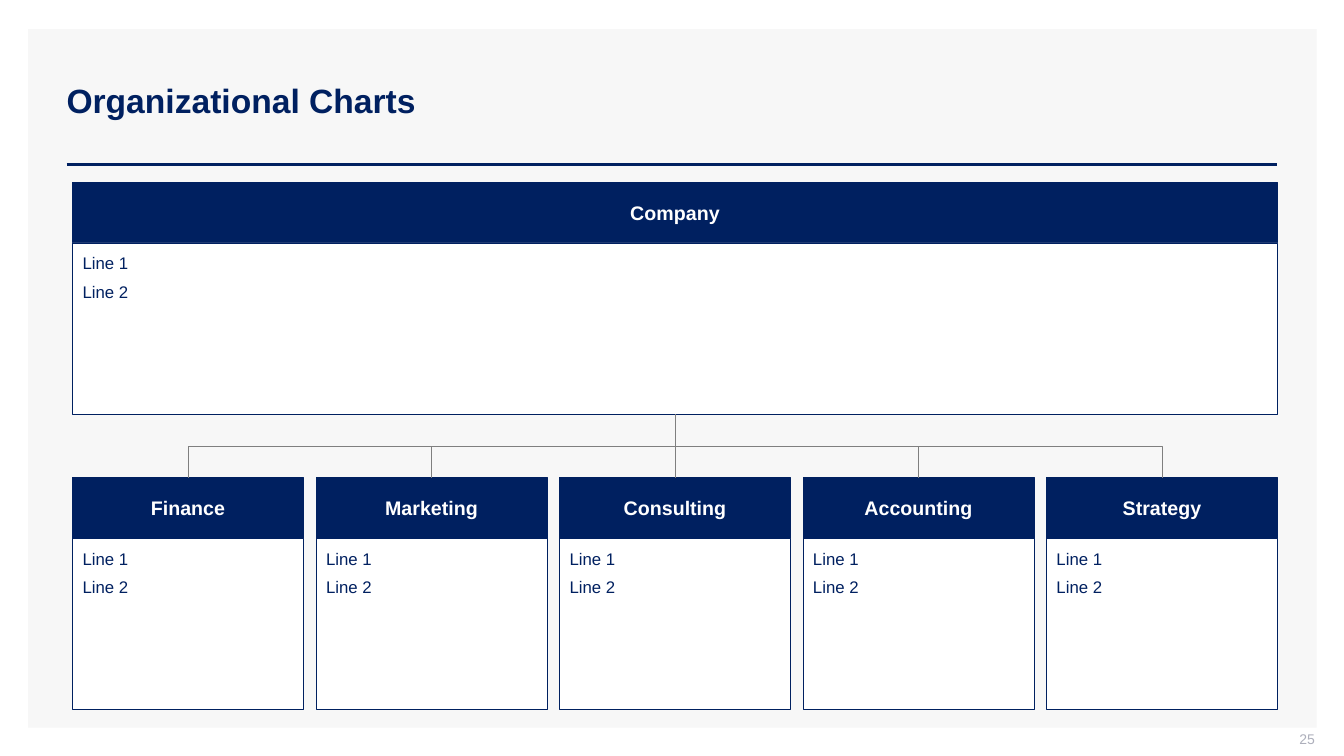
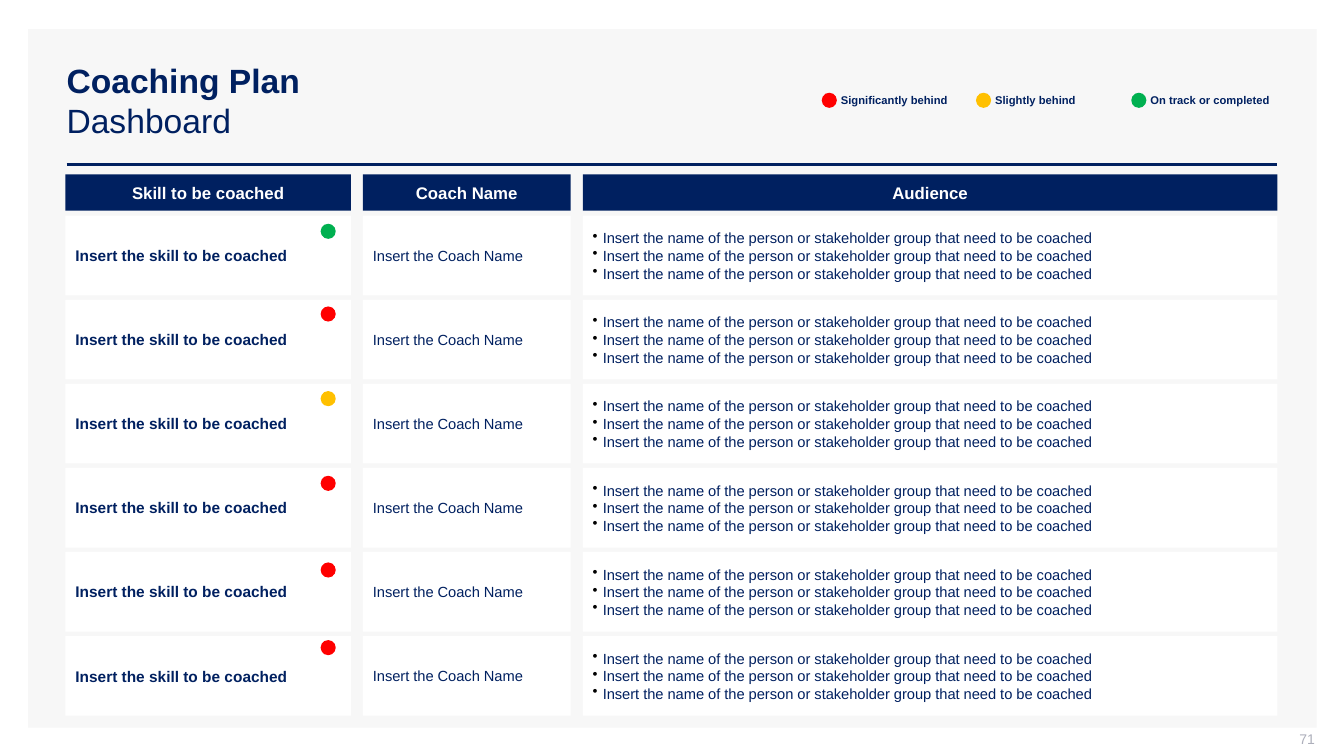
import pptx
import pptx.util
import pptx.dml.color
import pptx.enum.shapes
import pptx.enum.text
import pptx.oxml
import pptx.oxml.ns

NAVY, WHITE, PANEL, GREY, PALE = "002060", "FFFFFF", "F7F7F7", "7F7F7F", "ADAFBB"
RED, AMBER, GREEN = "FF0000", "FFC000", "00B050"
FONT = "Arial"

COMPANY = "Company"
DEPARTMENTS = ["Finance", "Marketing", "Consulting", "Accounting", "Strategy"]
LINES = ["Line 1", "Line 2"]
CHART_LEFT, CHART_WIDTH, COMPANY_TOP, DEPARTMENT_TOP = 72, 1195, 181, 474
CARD_WIDTH, CARD_HEAD, CARD_BODY = 229, 60, 170

LEGEND = [
    (815, RED, "Significantly behind"),
    (968, AMBER, "Slightly behind"),
    (1122, GREEN, "On track or completed"),
]
SKILL = "Insert the skill to be coached"
COACH = "Insert the Coach Name"
AUDIENCE = "Insert the name of the person or stakeholder group that need to be coached"
COLUMNS = [
    ("Skill to be coached", 65, 283, [SKILL], dict(size=11, bold=True)),
    ("Coach Name", 360, 206, [COACH], dict(size=10.5)),
    ("Audience", 578, 689, [AUDIENCE] * 3, dict(size=10.5, bullet=True)),
]
STATUSES = [(222, GREEN), (304, RED), (388, AMBER), (472, RED), (558, RED), (635, RED)]
HEAD_TOP, HEAD_HEIGHT = 173, 36
ROW_TOP, ROW_STEP, ROW_HEIGHT = 214, 83.4, 79
DOT = 15

SHAPE = pptx.enum.shapes.MSO_SHAPE
LINE = pptx.enum.shapes.MSO_CONNECTOR
ALIGN = pptx.enum.text.PP_ALIGN
ANCHOR = pptx.enum.text.MSO_ANCHOR
qn = pptx.oxml.ns.qn


def px(n):
    return pptx.util.Emu(round(n * 9144))


def rgb(color):
    return pptx.dml.color.RGBColor.from_string(color)


def add_run(p, text, size, color, bold=False):
    r = p.add_run()
    r.text = text
    r.font.name = FONT
    r.font.size = pptx.util.Pt(size)
    r.font.bold = bold
    r.font.color.rgb = rgb(color)


def add_bullet(p):
    pPr = p._p.get_or_add_pPr()
    pPr.set("marL", str(px(10)))
    pPr.set("indent", str(px(-10)))
    color = pptx.oxml.ns.nsdecls("a")
    pPr.append(pptx.oxml.parse_xml(f'<a:buClr {color}><a:srgbClr val="000000"/></a:buClr>'))
    pPr.append(pptx.oxml.parse_xml(f'<a:buChar {color} char="•"/>'))


def write(sp, lines, size, color=NAVY, bold=False, align=ALIGN.LEFT,
          anchor=ANCHOR.MIDDLE, insets=(10, 5, 10, 5), after=0, bullet=False, wrap=True):
    tf = sp.text_frame
    tf.word_wrap = wrap
    tf.vertical_anchor = anchor
    tf.margin_left, tf.margin_top, tf.margin_right, tf.margin_bottom = map(px, insets)
    for i, line in enumerate(lines):
        p = tf.add_paragraph() if i else tf.paragraphs[0]
        p.alignment = align
        p.space_after = pptx.util.Pt(after)
        if bullet:
            add_bullet(p)
        add_run(p, line, size, color, bold)


def add_shape(s, x, y, w, h, fill, line=None, kind=SHAPE.RECTANGLE):
    sp = s.shapes.add_shape(kind, px(x), px(y), px(w), px(h))
    sp.shadow.inherit = False
    sp.fill.solid()
    sp.fill.fore_color.rgb = rgb(fill)
    if line:
        sp.line.color.rgb = rgb(line)
        sp.line.width = pptx.util.Pt(0.5)
    else:
        sp.line.fill.background()
    return sp


def add_text(s, x, y, w, h, text, size, **style):
    write(s.shapes.add_textbox(px(x), px(y), px(w), px(h)), [text], size, **style)


def add_line(s, x1, y1, x2, y2, color, width, kind=LINE.STRAIGHT):
    c = s.shapes.add_connector(kind, px(x1), px(y1), px(x2), px(y2))
    c.line.color.rgb = rgb(color)
    c.line.width = pptx.util.Pt(width)
    c.element.spPr.append(c.element.makeelement(qn("a:effectLst"), {}))
    return c


def add_branch(s, x1, y1, x2, y2):
    if x1 == x2:
        add_line(s, x1, y1, x2, y2, GREY, 0.5)
        return
    mid_x, mid_y = (x1 + x2) / 2, (y1 + y2) / 2
    half_w, half_h = (y2 - y1) / 2, (x1 - x2) / 2
    c = add_line(s, mid_x - half_w, mid_y - half_h, mid_x + half_w, mid_y + half_h,
                 GREY, 0.5, LINE.ELBOW)
    c.element.spPr.find(qn("a:xfrm")).set("rot", str(90 * 60000))


def add_dot(s, x, y, color):
    add_shape(s, x, y, DOT, DOT, color, kind=SHAPE.OVAL)


def add_slide(prs, number, title, subtitle=None):
    s = prs.slides.add_slide(prs.slide_layouts[5])
    add_shape(s, 28, 29, 1278, 693, PANEL)
    add_line(s, 66, 163, 1267, 163, NAVY, 2)
    sp = s.shapes.title
    sp.element.getparent().append(sp.element)
    sp.left, sp.top, sp.width, sp.height = px(56), px(40), px(1211), px(119)
    write(sp, [title], 24, bold=True)
    sp.text_frame.auto_size = pptx.enum.text.MSO_AUTO_SIZE.NONE
    if subtitle:
        p = sp.text_frame.paragraphs[0]
        p.add_line_break()
        add_run(p, subtitle, 24, NAVY)
    add_text(s, 1004, 725, 300, 21, number, 10, color=PALE, align=ALIGN.RIGHT,
             insets=(10, 0, 0, 5))
    return s


def add_card(s, x, y, w, name):
    insets = (10, 10, 10, 10)
    head = add_shape(s, x, y, w, CARD_HEAD, NAVY, NAVY)
    write(head, [name], 14, WHITE, True, ALIGN.CENTER, insets=insets)
    body = add_shape(s, x, y + CARD_HEAD, w, CARD_BODY, WHITE, NAVY)
    write(body, LINES, 12, anchor=ANCHOR.TOP, insets=insets, after=6)


def build_org_chart(prs):
    s = add_slide(prs, "25", "Organizational Charts")
    add_card(s, CHART_LEFT, COMPANY_TOP, CHART_WIDTH, COMPANY)
    step = (CHART_WIDTH - CARD_WIDTH) / (len(DEPARTMENTS) - 1)
    company_x = CHART_LEFT + CHART_WIDTH / 2
    company_bottom = COMPANY_TOP + CARD_HEAD + CARD_BODY
    for i, name in enumerate(DEPARTMENTS):
        x = CHART_LEFT + i * step
        add_card(s, x, DEPARTMENT_TOP, CARD_WIDTH, name)
        add_branch(s, company_x, company_bottom, x + CARD_WIDTH / 2, DEPARTMENT_TOP)


def build_dashboard(prs):
    s = add_slide(prs, "71", "Coaching Plan", "Dashboard")
    for x, color, label in LEGEND:
        add_dot(s, x, 92, color)
        add_text(s, x + 19, 80, 124, 39, label, 8, bold=True, insets=(0, 0, 0, 0), wrap=False)
    for heading, x, w, lines, style in COLUMNS:
        head = add_shape(s, x, HEAD_TOP, w, HEAD_HEIGHT, NAVY)
        write(head, [heading], 12, WHITE, True, ALIGN.CENTER, insets=(2, 2, 2, 2))
        for i in range(len(STATUSES)):
            cell = add_shape(s, x, ROW_TOP + i * ROW_STEP, w, ROW_HEIGHT, WHITE)
            write(cell, lines, **style)
    for y, color in STATUSES:
        add_dot(s, 318, y, color)


def main():
    prs = pptx.Presentation()
    prs.slide_width, prs.slide_height = px(1333), px(750)
    build_org_chart(prs)
    build_dashboard(prs)
    prs.save("out.pptx")


if __name__ == "__main__":
    main()
